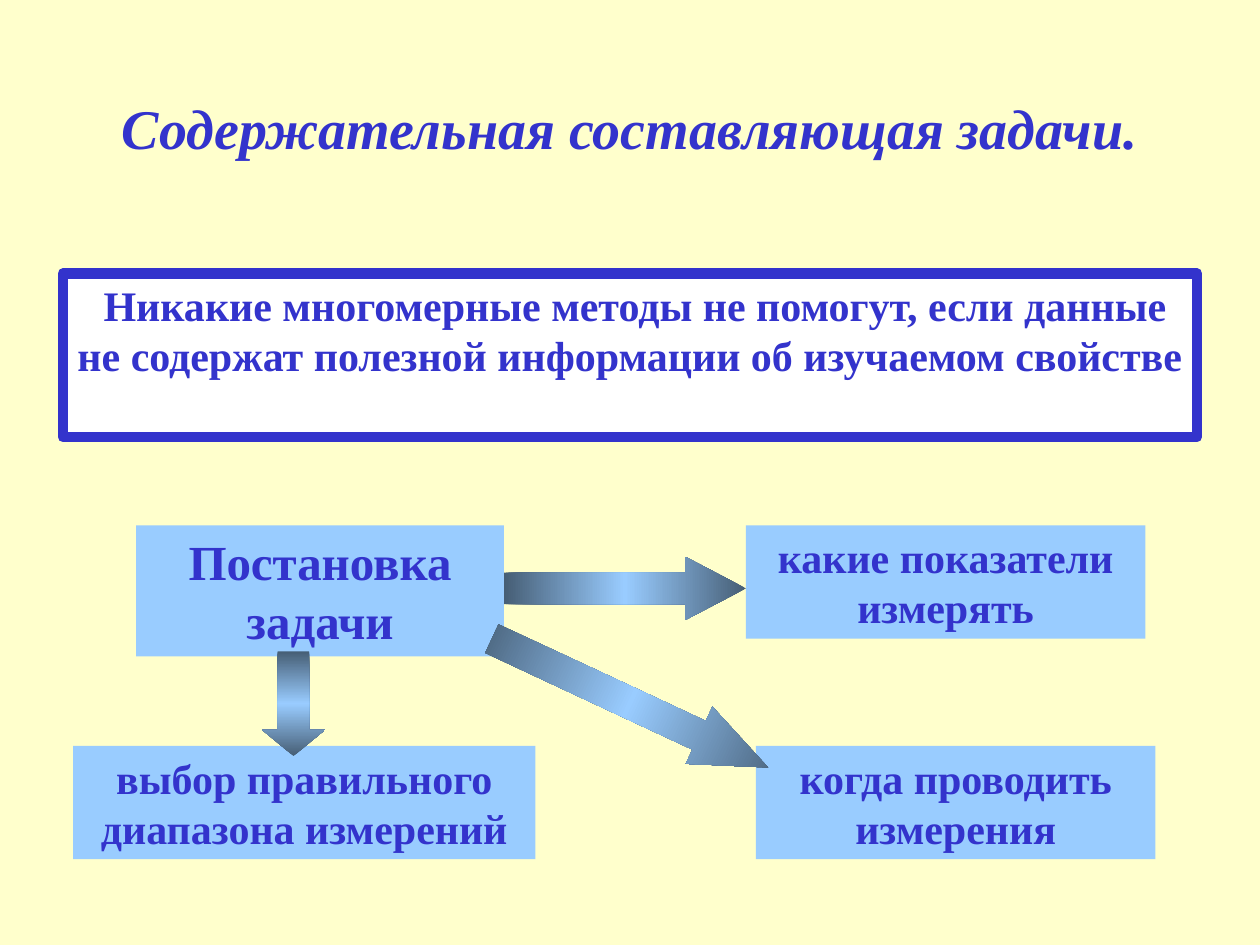
from collections import namedtuple
from copy import deepcopy

from pptx import Presentation
from pptx import util as u
from pptx.dml.color import RGBColor
from pptx.enum import shapes, text

FONT = "Times New Roman"
CREAM = RGBColor(0xFF, 0xFF, 0xCC)
WHITE = RGBColor(0xFF, 0xFF, 0xFF)
BLUE = RGBColor(0x33, 0x33, 0xCC)
SKY = RGBColor(0x99, 0xCC, 0xFF)
SLATE = RGBColor(0x46, 0x5E, 0x75)

Box = namedtuple("Box", "left top width height")


def inside(box, left, top, width, height):
    """Turn offsets within a box into a box on the page."""
    return Box(box.left + left, box.top + top, width, height)


def write(frame, wording, size, italic=False):
    frame.word_wrap = True
    frame.auto_size = text.MSO_AUTO_SIZE.NONE
    para = frame.paragraphs[0]
    para.alignment = text.PP_ALIGN.CENTER
    span = para.add_run()
    span.text = wording
    span.font.name = FONT
    span.font.size = u.Pt(size)
    span.font.bold = True
    span.font.italic = italic
    span.font.color.rgb = BLUE
    return para


def add_plain_shape(page, kind, box):
    shape = page.shapes.add_shape(kind, *map(u.Inches, box))
    shape.shadow.inherit = False
    shape.line.fill.background()
    return shape


def add_label(page, box, wording, size=24, fill=SKY):
    label = add_plain_shape(page, shapes.MSO_SHAPE.RECTANGLE, box)
    label.fill.solid()
    label.fill.fore_color.rgb = fill
    label.text_frame.vertical_anchor = text.MSO_ANCHOR.TOP
    write(label.text_frame, wording, size)
    return label


def add_arrow(page, kind, box, angle=0, rotation=0):
    """Block arrow, dark at both ends, whose head takes a quarter of its length."""
    arrow = add_plain_shape(page, kind, box)
    length, thickness = max(box.width, box.height), min(box.width, box.height)
    arrow.adjustments[0] = 0.5
    arrow.adjustments[1] = 0.25 * length / thickness
    arrow.rotation = rotation
    arrow.fill.gradient()
    arrow.fill.gradient_angle = angle
    stop_list = arrow.fill._fill._gradFill.gsLst
    stop_list.append(deepcopy(stop_list[0]))
    stops = zip(arrow.fill.gradient_stops, (0, 0.5, 1), (SLATE, SKY, SLATE))
    for stop, position, color in stops:
        stop.position = position
        stop.color.rgb = color


def add_title(page, box):
    title = page.shapes.title
    title.left, title.top, title.width, title.height = map(u.Inches, box)
    title.text_frame.vertical_anchor = text.MSO_ANCHOR.MIDDLE
    write(title.text_frame, "Содержательная составляющая задачи.", 32, italic=True)


def add_statement(page, box):
    statement = add_label(
        page, box,
        "Никакие многомерные методы не помогут, если данные "
        "не содержат полезной информации об изучаемом свойстве",
        fill=WHITE)
    statement.line.color.rgb = BLUE
    statement.line.width = u.Pt(6)
    properties = statement.text_frame.paragraphs[0]._p.get_or_add_pPr()
    properties.set("indent", str(u.Inches(0.08)))


def add_diagram(page, box):
    """The task, with arrows to the three questions it settles."""
    low = 1.75
    add_label(page, inside(box, 5.34, 0, 3.17, 0.9), "какие показатели измерять")
    add_label(page, inside(box, 0, low, 3.67, 0.9),
              "выбор правильного диапазона измерений")
    add_label(page, inside(box, 0.5, 0, 2.92, 1.04), "Постановка задачи", size=28)
    add_label(page, inside(box, 5.42, low, 3.17, 0.9), "когда проводить измерения")

    right, down = shapes.MSO_SHAPE.RIGHT_ARROW, shapes.MSO_SHAPE.DOWN_ARROW
    add_arrow(page, right, inside(box, 3.42, 0.25, 1.92, 0.5))
    add_arrow(page, right, inside(box, 3.21, 1.16, 2.42, 0.5), rotation=25)
    add_arrow(page, down, inside(box, 1.5, 1, 0.5, 0.83), angle=90)


def main():
    deck = Presentation()
    deck.slide_width, deck.slide_height = u.Inches(10), u.Inches(7.5)
    page = deck.slides.add_slide(deck.slide_layouts.get_by_name("Title Only"))
    page.background.fill.solid()
    page.background.fill.fore_color.rgb = CREAM
    add_title(page, Box(0.75, 0.67, 8.5, 0.67))
    add_statement(page, Box(0.5, 2.17, 9, 1.3))
    add_diagram(page, Box(0.58, 4.17, 8.59, 2.65))
    deck.save("out.pptx")


if __name__ == "__main__":
    main()
